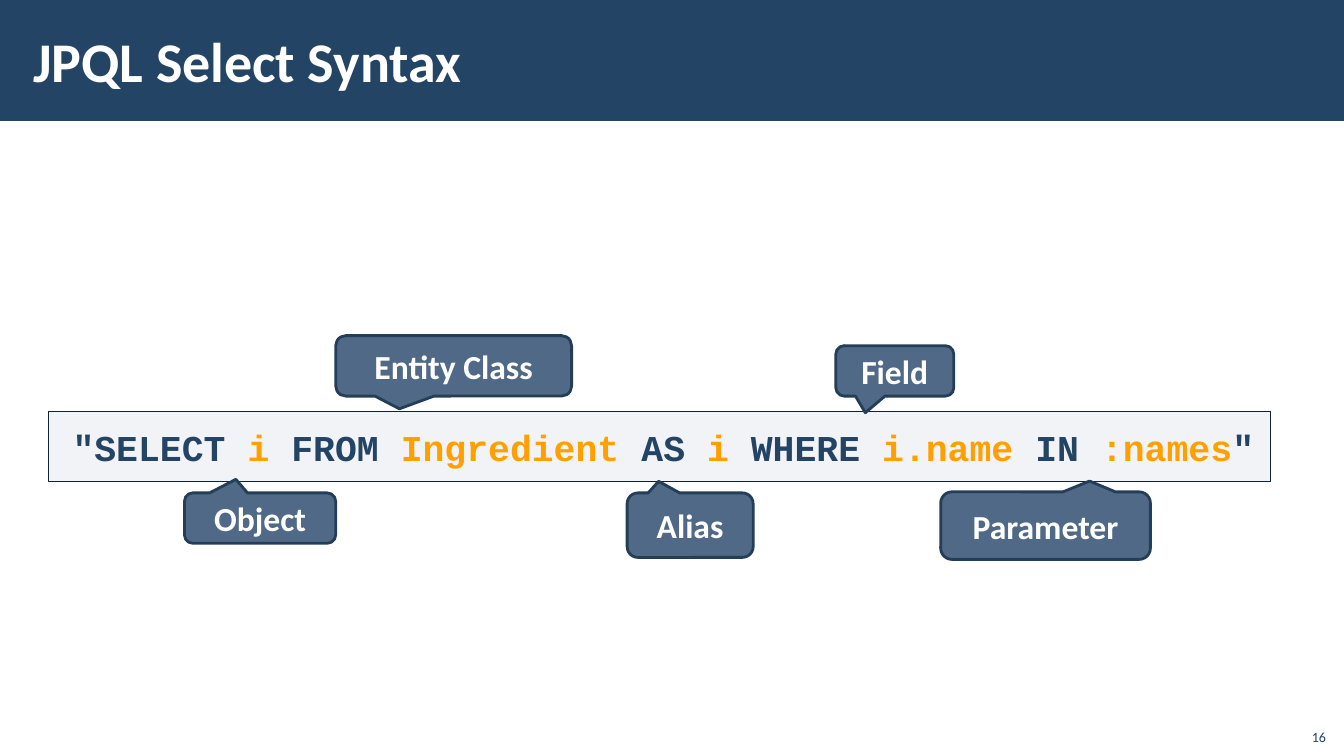
"""Build the JPQL select syntax slide with annotated query parts."""
from typing import NamedTuple

from lxml import etree
from pptx import Presentation
from pptx import util as u
from pptx.dml import color
from pptx.enum import shapes, text
from pptx.oxml import ns

COLORS = {
    "navy": "234465", "white": "FFFFFF", "orange": "FFA000", "panel": "ADB4C3",
    "panel_edge": "112233", "callout": "4F6987", "callout_edge": "253E57",
}
PANEL_OPACITY = 15


class Box(NamedTuple):
    left: float
    top: float
    width: float
    height: float


class Callout(NamedTuple):
    label: str
    box: Box
    tip_x: float
    tip_y: float


class Caption(NamedTuple):
    label: str
    box: Box
    size: int
    color: str
    bold: bool
    align: text.PP_ALIGN
    anchor: text.MSO_ANCHOR
    margin: float


CAPTIONS = [
    Caption("JPQL Select Syntax", Box(0.21, 0.11, 10.63, 0.97), 40, "white", True,
            text.PP_ALIGN.LEFT, text.MSO_ANCHOR.MIDDLE, 0.12),
    Caption("16", Box(12.85, 7.12, 0.4, 0.32), 10, "navy", False,
            text.PP_ALIGN.RIGHT, text.MSO_ANCHOR.BOTTOM, 0.1),
]
CALLOUTS = [
    Callout("Entity Class", Box(3.33, 3.33, 2.34, 0.6), -0.23, 0.71),
    Callout("Alias", Box(6.22, 4.89, 1.25, 0.64), -0.25, -0.68),
    Callout("Object", Box(1.83, 4.89, 1.5, 0.5), -0.16, -0.77),
    Callout("Field", Box(8.29, 3.43, 1.17, 0.5), -0.25, 0.83),
    Callout("Parameter", Box(9.33, 4.88, 2.08, 0.67), 0.21, -0.66),
]
QUERY_PARTS = ['"SELECT ', "i", " FROM ", "Ingredient", " AS ", "i", " WHERE ",
               "i.name", " IN ", ":names", '"']


def rgb(name: str) -> color.RGBColor:
    return color.RGBColor.from_string(COLORS[name])


def place(box: Box) -> list[u.Length]:
    return [u.Inches(length) for length in box]


def set_font(font, name: str, size: int, bold: bool) -> None:
    font.name, font.size, font.bold = name, u.Pt(size), bold


def add_filled(slide, kind: shapes.MSO_SHAPE, box: Box, fill: str,
               edge: str = "", edge_width: float = 0):
    shape = slide.shapes.add_shape(kind, *place(box))
    shape.shadow.inherit = False
    shape.fill.solid()
    shape.fill.fore_color.rgb = rgb(fill)
    if edge:
        shape.line.color.rgb = rgb(edge)
        shape.line.width = u.Pt(edge_width)
    else:
        shape.line.fill.background()
    return shape


def write_label(frame, label: str, size: int, ink: str, bold: bool,
                align: text.PP_ALIGN, anchor: text.MSO_ANCHOR) -> None:
    frame.word_wrap = True
    frame.vertical_anchor = anchor
    line = frame.paragraphs[0]
    line.text = label
    line.alignment = align
    set_font(line.font, "Calibri", size, bold)
    line.font.color.rgb = rgb(ink)


def add_caption(slide, caption: Caption) -> None:
    frame = slide.shapes.add_textbox(*place(caption.box)).text_frame
    frame.margin_left = frame.margin_right = u.Inches(caption.margin)
    write_label(frame, caption.label, caption.size, caption.color, caption.bold,
                caption.align, caption.anchor)


def add_callout(slide, callout: Callout) -> None:
    bubble = add_filled(slide, shapes.MSO_SHAPE.ROUNDED_RECTANGULAR_CALLOUT,
                        callout.box, "callout", "callout_edge", 2)
    bubble.adjustments[0] = callout.tip_x
    bubble.adjustments[1] = callout.tip_y
    write_label(bubble.text_frame, callout.label, 24, "white", True,
                text.PP_ALIGN.CENTER, text.MSO_ANCHOR.MIDDLE)


def add_query(slide) -> None:
    panel = add_filled(slide, shapes.MSO_SHAPE.RECTANGLE, Box(0.48, 4.08, 12.12, 0.7),
                       "panel", "panel_edge", 1)
    tint = panel.fill._xPr.find(".//" + ns.qn("a:srgbClr"))
    etree.SubElement(tint, ns.qn("a:alpha"), val=str(PANEL_OPACITY * 1000))
    frame = panel.text_frame
    frame.word_wrap = True
    frame.auto_size = text.MSO_AUTO_SIZE.SHAPE_TO_FIT_TEXT
    frame.vertical_anchor = text.MSO_ANCHOR.TOP
    frame.margin_left = frame.margin_right = u.Inches(0.16)
    frame.margin_top = frame.margin_bottom = u.Inches(0.12)
    query = frame.paragraphs[0]
    query.alignment = text.PP_ALIGN.LEFT
    query.line_spacing = 1.05
    query.space_before = query.space_after = u.Pt(6)
    query._p.get_or_add_pPr().set("marL", str(u.Inches(0.08)))
    set_font(query.font, "Courier New", 26, True)
    for index, part in enumerate(QUERY_PARTS):
        run = query.add_run()
        run.text = part
        run.font.color.rgb = rgb("orange" if index % 2 else "navy")


def main() -> None:
    deck = Presentation()
    deck.slide_width, deck.slide_height = u.Inches(13.33), u.Inches(7.5)
    slide = deck.slides.add_slide(deck.slide_layouts[6])
    add_filled(slide, shapes.MSO_SHAPE.RECTANGLE, Box(0, 0, 13.33, 1.2), "navy")
    title, page_number = CAPTIONS
    add_caption(slide, title)
    add_query(slide)
    for callout in CALLOUTS:
        add_callout(slide, callout)
    add_caption(slide, page_number)
    deck.save("out.pptx")


if __name__ == "__main__":
    main()
